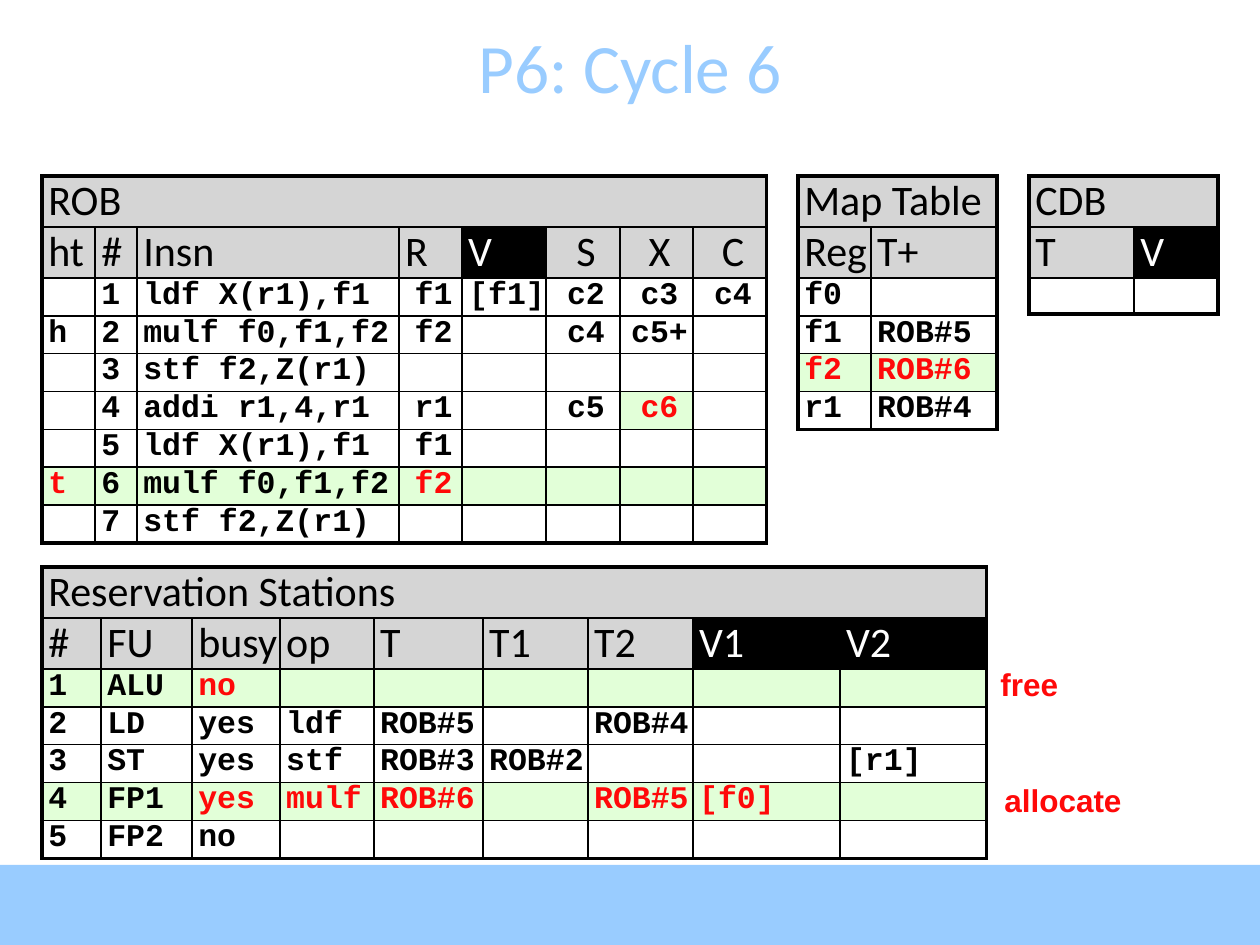
from lxml import etree
from pptx import Presentation
from pptx import util as u
from pptx.dml.color import RGBColor
from pptx.enum import shapes, text
from pptx.oxml.ns import qn

PX = 914400 // 126
COLORS = dict(sky="99CCFF", red="FF0909", black="000000", white="FFFFFF",
              header="D5D5D5", changed="E2FFD8")
HEAD_ROWS, HEAD_H, BODY_H = 2, 51, 36
RED = "!"   # marks a value that changed in this cycle

# "changed" lists whole body rows, or single (row, column) cells, to highlight.
TABLES = [
    dict(title="ROB", at=(42, 176), cols=[53, 42, 262, 63, 84, 74, 73, 74],
         head=["ht", "#", "Insn", "R", "V", "S", "X", "C"],
         centred_head={5, 6, 7}, centred_body={3, 4, 5, 6, 7},
         changed={5, (3, 6)},
         body=[
             ["", "1", "ldf X(r1),f1", "f1", "[f1]", "c2", "c3", "c4"],
             ["h", "2", "mulf f0,f1,f2", "f2", "", "c4", "c5+", ""],
             ["", "3", "stf f2,Z(r1)", "", "", "", "", ""],
             ["", "4", "addi r1,4,r1", "r1", "", "c5", "!c6", ""],
             ["", "5", "ldf X(r1),f1", "f1", "", "", "", ""],
             ["!t", "6", "mulf f0,f1,f2", "!f2", "", "", "", ""],
             ["", "7", "stf f2,Z(r1)", "", "", "", "", ""],
         ]),
    dict(title="Map Table", at=(798, 176), cols=[73, 126],
         head=["Reg", "T+"], changed={2},
         body=[["f0", ""], ["f1", "ROB#5"], ["!f2", "!ROB#6"], ["r1", "ROB#4"]]),
    dict(title="Reservation Stations", at=(42, 567),
         cols=[59, 91, 88, 94, 109, 105, 105, 147, 147],
         head=["#", "FU", "busy", "op", "T", "T1", "T2", "V1", "V2"],
         changed={0, 3},
         body=[
             ["1", "ALU", "!no", "", "", "", "", "", ""],
             ["2", "LD", "yes", "ldf", "ROB#5", "", "ROB#4", "", ""],
             ["3", "ST", "yes", "stf", "ROB#3", "ROB#2", "", "", "[r1]"],
             ["4", "FP1", "!yes", "!mulf", "!ROB#6", "", "!ROB#5", "![f0]", ""],
             ["5", "FP2", "no", "", "", "", "", "", ""],
         ]),
    dict(title="CDB", at=(1029, 176), cols=[105, 84],
         head=["T", "V"], changed=set(), body=[["", ""]]),
]
NOTES = [("free", (988, 659, 83, 50)), ("allocate", (992, 775, 142, 50))]


def px(*values):
    return [v * PX for v in values]


def rgb(name):
    return RGBColor.from_string(COLORS[name])


def write(tf, content, size=18, font="Courier New", color="black", bold=False,
          centred=False):
    p = tf.paragraphs[0]
    p.alignment = text.PP_ALIGN.CENTER if centred else text.PP_ALIGN.LEFT
    if not content:  # small type keeps an empty cell from stretching its row
        etree.SubElement(p._p, qn("a:endParaRPr"), sz="1200")
        return
    r = p.add_run()
    r.text = content
    r.font.size, r.font.name, r.font.bold = u.Pt(size), font, bold
    r.font.color.rgb = rgb(color)


def draw_borders(cell, outer):
    """Line all four sides, thick on the sides named in outer."""
    tc_pr = cell._tc.get_or_add_tcPr()
    for side in "LRTB":
        width = u.Pt(2.25 if side in outer else 1)
        ln = etree.SubElement(tc_pr, qn("a:ln" + side), w=str(int(width)))
        fill = etree.SubElement(ln, qn("a:solidFill"))
        etree.SubElement(fill, qn("a:srgbClr"), val=COLORS["black"])


def add_state_table(s, title, at, cols, head, body, changed,
                    centred_head=(), centred_body=()):
    n_cols = len(cols)
    heights = [HEAD_H] * HEAD_ROWS + [BODY_H] * len(body)
    n_rows = len(heights)
    frame = s.shapes.add_table(n_rows, n_cols, *px(*at, sum(cols), sum(heights)))
    table = frame.table
    table.first_row = table.horz_banding = False
    for column, width in zip(table.columns, cols):
        column.width = width * PX
    for row, height in zip(table.rows, heights):
        row.height = height * PX
    table.cell(0, 0).merge(table.cell(0, n_cols - 1))

    for i, values in enumerate([[title] + [""] * (n_cols - 1), head] + body):
        for j, value in enumerate(values):
            cell = table.cell(i, j)
            cell.margin_left = u.Inches(0.05)
            cell.margin_right = cell.margin_top = cell.margin_bottom = 0
            edges = {"L": j == 0, "R": j == n_cols - 1 or i == 0,
                     "T": i == 0, "B": i == n_rows - 1}
            draw_borders(cell, [side for side, on in edges.items() if on])
            cell.fill.solid()
            if i < HEAD_ROWS:
                dark = i == 1 and value.startswith("V")
                cell.fill.fore_color.rgb = rgb("black" if dark else "header")
                write(cell.text_frame, value, size=24, font="Calibri",
                      color="white" if dark else "black",
                      centred=i == 1 and j in centred_head)
            else:
                k = i - HEAD_ROWS
                hot = k in changed or (k, j) in changed
                cell.fill.fore_color.rgb = rgb("changed" if hot else "white")
                write(cell.text_frame, value.lstrip(RED), bold=True,
                      color="red" if value.startswith(RED) else "black",
                      centred=j in centred_body)


def main():
    prs = Presentation()
    prs.slide_width, prs.slide_height = px(1260, 945)
    s = prs.slides.add_slide(prs.slide_layouts[6])

    band = s.shapes.add_shape(shapes.MSO_SHAPE.RECTANGLE, *px(0, 865, 1260, 80))
    band.shadow.inherit = False
    band.fill.solid()
    band.fill.fore_color.rgb = rgb("sky")
    band.line.fill.background()

    tf = s.shapes.add_textbox(*px(0, 26, 1260, 79)).text_frame
    tf.word_wrap = True
    tf.vertical_anchor = text.MSO_ANCHOR.MIDDLE
    write(tf, "P6: Cycle 6", size=39.6, font="Calibri", color="sky", centred=True)

    for state in TABLES:
        add_state_table(s, **state)

    for label, box in NOTES:
        tf = s.shapes.add_textbox(*px(*box)).text_frame
        tf.word_wrap = True
        tf.margin_right = 0
        write(tf, label, font="Arial", color="red", bold=True)

    prs.save("out.pptx")


if __name__ == "__main__":
    main()
